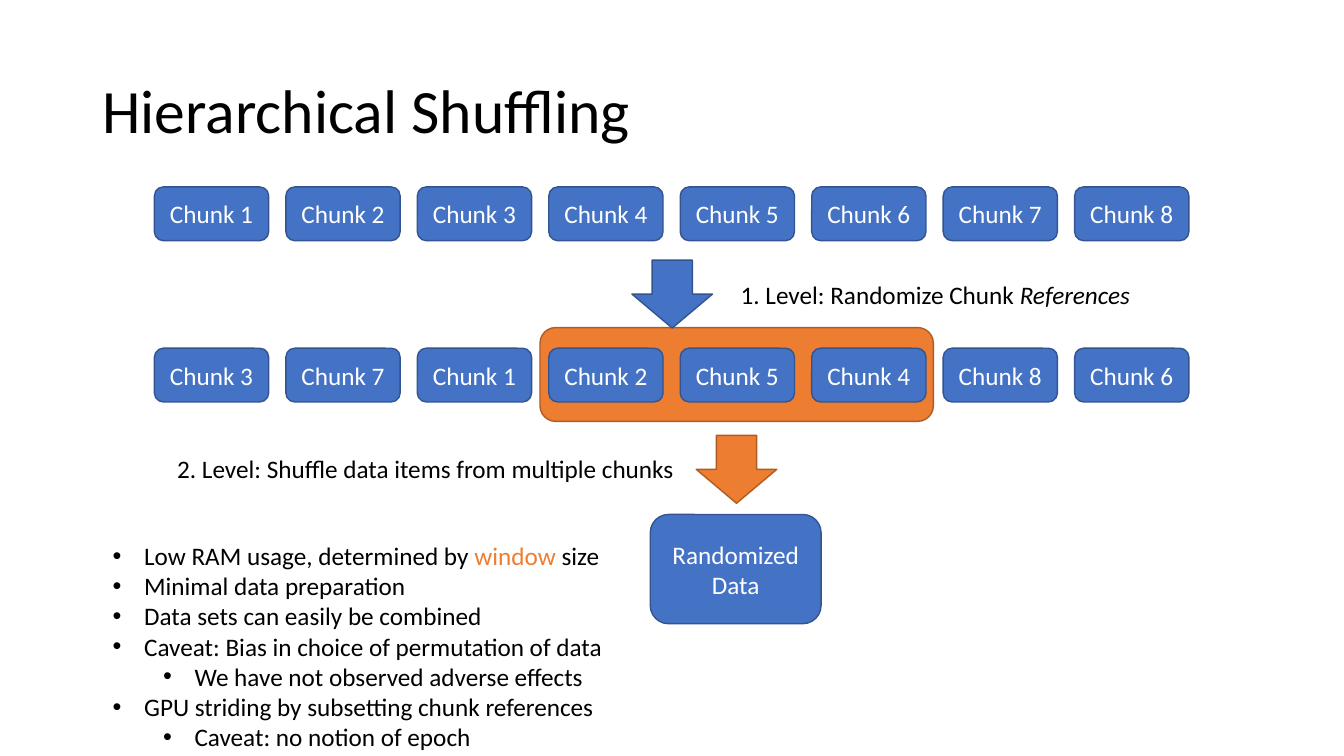
from dataclasses import dataclass

from lxml import etree
from pptx import Presentation
from pptx.dml.color import RGBColor
from pptx.enum.shapes import MSO_SHAPE
from pptx.enum.text import MSO_ANCHOR, MSO_AUTO_SIZE, PP_ALIGN
from pptx.oxml.ns import qn
from pptx.util import Pt

ROUNDED = MSO_SHAPE.ROUNDED_RECTANGLE
DOWN_ARROW = MSO_SHAPE.DOWN_ARROW
MIDDLE = MSO_ANCHOR.MIDDLE
TOP = MSO_ANCHOR.TOP
LEFT = PP_ALIGN.LEFT
CENTER = PP_ALIGN.CENTER
NO_AUTOFIT = MSO_AUTO_SIZE.NONE
TITLE_ONLY = 5


@dataclass(frozen=True)
class Theme:
    font: str = "Calibri"
    title_size: float = 44
    body_size: float = 18
    text: RGBColor = RGBColor(0, 0, 0)
    inverse: RGBColor = RGBColor(255, 255, 255)
    blue: RGBColor = RGBColor(0x44, 0x72, 0xC4)
    blue_edge: RGBColor = RGBColor(0x32, 0x54, 0x91)
    orange: RGBColor = RGBColor(0xED, 0x7D, 0x31)
    orange_edge: RGBColor = RGBColor(0xAF, 0x5C, 0x24)


@dataclass(frozen=True)
class Box:
    left: float
    top: float
    width: float
    height: float

    def lengths(self) -> tuple:
        return Pt(self.left), Pt(self.top), Pt(self.width), Pt(self.height)


@dataclass(frozen=True)
class Block:
    box: Box
    preset: int = ROUNDED
    label: str = ""
    highlighted: bool = False


@dataclass(frozen=True)
class Span:
    text: str
    italic: bool = False
    highlighted: bool = False


@dataclass(frozen=True)
class Line:
    spans: tuple
    level: int = 0


THEME = Theme()
CHUNK_LEFT, CHUNK_PITCH, CHUNK_WIDTH, CHUNK_HEIGHT = 110.3, 93.9, 81.6, 38.4
BULLET_INDENT, LEVEL_INDENT = 22.5, 36
ARROW_SIZE = (57.6, 48.5)

CHUNK_ROWS = {
    133.5: (1, 2, 3, 4, 5, 6, 7, 8),
    248.7: (3, 7, 1, 2, 5, 4, 8, 6),
}
WINDOW = Block(Box(385.7, 234, 281, 67), highlighted=True)
ARROWS = (
    Block(Box(451.4, 185.8, *ARROW_SIZE), DOWN_ARROW),
    Block(Box(497.3, 311, *ARROW_SIZE), DOWN_ARROW, highlighted=True),
)
RANDOMIZED_DATA = Block(Box(464.5, 367.5, 122, 78), label="Randomized Data")

FIRST_LEVEL = Line((Span("1. Level: Randomize Chunk "), Span("References", italic=True)))
SECOND_LEVEL = Line((Span("2. Level: Shuffle data items from multiple chunks"),))
PROPERTIES = (
    Line((Span("Low RAM usage, determined by "), Span("window", highlighted=True), Span(" size"))),
    Line((Span("Minimal data preparation"),)),
    Line((Span("Data sets can easily be combined"),)),
    Line((Span("Caveat: Bias in choice of permutation of data"),)),
    Line((Span("We have not observed adverse effects"),), level=1),
    Line((Span("GPU striding by subsetting chunk references"),)),
    Line((Span("Caveat: no notion of epoch"),), level=1),
)


def style_paragraph(paragraph, size: float, color: RGBColor, alignment: int) -> None:
    paragraph.alignment = alignment
    paragraph.font.name = THEME.font
    paragraph.font.size = Pt(size)
    paragraph.font.color.rgb = color


def add_bullet(paragraph, level: int) -> None:
    paragraph.level = level
    properties = paragraph._p.get_or_add_pPr()
    properties.set("marL", str(Pt(BULLET_INDENT + level * LEVEL_INDENT)))
    properties.set("indent", str(Pt(-BULLET_INDENT)))
    bullet_font = etree.Element(qn("a:buFont"), typeface="Arial")
    bullet = etree.Element(qn("a:buChar"), char="•")
    properties.insert(0, bullet_font)
    properties.insert(1, bullet)


def draw_title(slide, text: str, box: Box) -> None:
    title = slide.shapes.title
    title.left, title.top, title.width, title.height = box.lengths()
    frame = title.text_frame
    frame.text = text
    frame.auto_size = NO_AUTOFIT
    frame.vertical_anchor = MIDDLE
    paragraph = frame.paragraphs[0]
    paragraph.line_spacing = 0.9
    style_paragraph(paragraph, THEME.title_size, THEME.text, LEFT)


def draw_block(slide, block: Block) -> None:
    shape = slide.shapes.add_shape(block.preset, *block.box.lengths())
    shape.shadow.inherit = False
    shape.fill.solid()
    shape.fill.fore_color.rgb = THEME.orange if block.highlighted else THEME.blue
    shape.line.color.rgb = THEME.orange_edge if block.highlighted else THEME.blue_edge
    shape.line.width = Pt(1)
    if block.label:
        frame = shape.text_frame
        frame.word_wrap = True
        frame.vertical_anchor = MIDDLE
        frame.text = block.label
        style_paragraph(frame.paragraphs[0], THEME.body_size, THEME.inverse, CENTER)


def draw_text(slide, box: Box, lines: tuple, bulleted: bool = False) -> None:
    frame = slide.shapes.add_textbox(*box.lengths()).text_frame
    frame.word_wrap = True
    frame.vertical_anchor = TOP
    for index, line in enumerate(lines):
        paragraph = frame.add_paragraph() if index else frame.paragraphs[0]
        style_paragraph(paragraph, THEME.body_size, THEME.text, LEFT)
        if bulleted:
            add_bullet(paragraph, line.level)
        for span in line.spans:
            run = paragraph.add_run()
            run.text = span.text
            if span.italic:
                run.font.italic = True
            if span.highlighted:
                run.font.color.rgb = THEME.orange


def draw_chunk_row(slide, top: float, order: tuple) -> None:
    for column, number in enumerate(order):
        box = Box(CHUNK_LEFT + column * CHUNK_PITCH, top, CHUNK_WIDTH, CHUNK_HEIGHT)
        draw_block(slide, Block(box, label=f"Chunk {number}"))


def main() -> None:
    presentation = Presentation()
    presentation.slide_width, presentation.slide_height = Pt(960), Pt(540)
    slide = presentation.slides.add_slide(presentation.slide_layouts[TITLE_ONLY])

    draw_title(slide, "Hierarchical\u00a0Shuffling", Box(66, 28.8, 828, 104.4))
    draw_block(slide, WINDOW)
    for top, order in CHUNK_ROWS.items():
        draw_chunk_row(slide, top, order)
    for block in (*ARROWS, RANDOMIZED_DATA):
        draw_block(slide, block)
    draw_text(slide, Box(522, 195.8, 335, 29), (FIRST_LEVEL,))
    draw_text(slide, Box(119.5, 320, 374, 29), (SECOND_LEVEL,))
    draw_text(slide, Box(73.4, 382.3, 369.4, 160), PROPERTIES, bulleted=True)

    presentation.save("out.pptx")


main()
